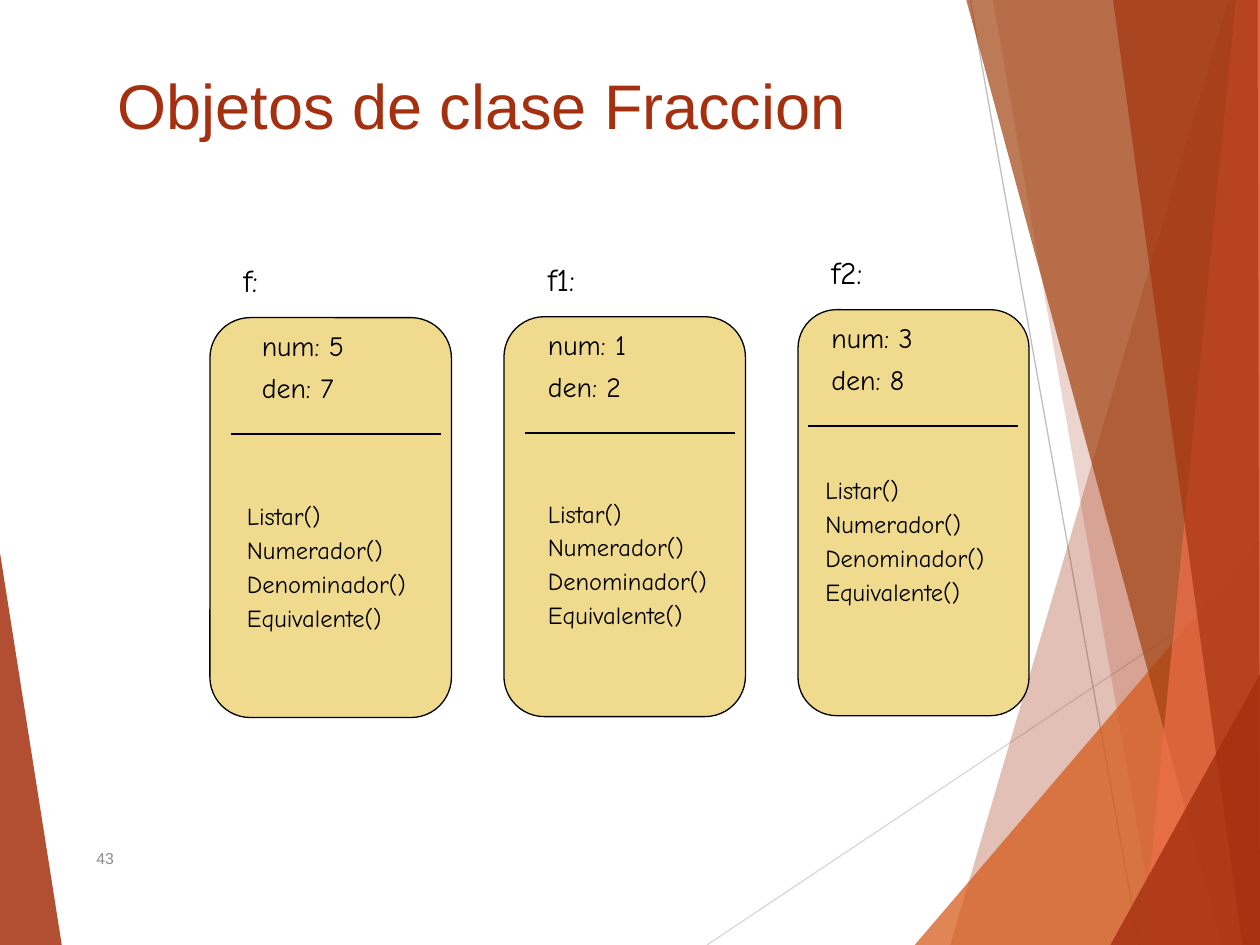
import pptx
import pptx.util
import pptx.dml.color
import pptx.enum.shapes
import pptx.enum.text
import pptx.oxml
import pptx.oxml.ns
import lxml.etree

Pt = pptx.util.Pt
RGB = pptx.dml.color.RGBColor.from_string
SHAPE = pptx.enum.shapes.MSO_SHAPE
ANCHOR = pptx.enum.text.MSO_ANCHOR
COLORS = {
    "rust": "A5300F", "orange": "D55816", "brown": "A04210", "coral": "EE6E4A",
    "pale": "D9D9D9", "silver": "BFBFBF", "gray": "8C8C8C",
    "sand": "EFDA8E", "black": "000000",
}


def write(shape, lines, font, size, color, spacing=1.0, gap=0, anchor=ANCHOR.TOP):
    frame = shape.text_frame
    frame.word_wrap = True
    frame.auto_size = pptx.enum.text.MSO_AUTO_SIZE.NONE
    frame.vertical_anchor = anchor
    for index, line in enumerate(lines):
        paragraph = frame.paragraphs[0] if index == 0 else frame.add_paragraph()
        paragraph.alignment = pptx.enum.text.PP_ALIGN.LEFT
        paragraph.line_spacing = spacing
        paragraph.space_before = Pt(gap if index else 0)
        run = paragraph.add_run()
        run.text = line
        run.font.name = font
        run.font.size = Pt(size)
        run.font.color.rgb = RGB(COLORS[color])


def draw_line(shapes, x1, y1, x2, y2, color):
    line = shapes.add_connector(
        pptx.enum.shapes.MSO_CONNECTOR.STRAIGHT, Pt(x1), Pt(y1), Pt(x2), Pt(y2))
    line.line.color.rgb = RGB(COLORS[color])
    line.line.width = Pt(0.75)
    lxml.etree.SubElement(line._element.spPr, pptx.oxml.ns.qn("a:effectLst"))


deck = pptx.Presentation()
deck.slide_width, deck.slide_height = Pt(720), Pt(540)
slide = deck.slides.add_slide(deck.slide_layouts[5])

facets = [
    ("rust", 85, [(0, 316), (35.3, 540), (0, 540)]),
    ("rust", 30, [(702, 0), (543, 540), (720, 540), (720, 0)]),
    ("rust", 20, [(567.4, 0), (661.7, 540), (720, 540), (720, 0)]),
    ("orange", 72, [(522.7, 540), (720, 309), (720, 540)]),
    ("brown", 70, [(552.2, 0), (698.4, 540), (720, 540), (720, 0)]),
    ("coral", 70, [(706.3, 0), (653, 540), (720, 540), (720, 0)]),
    ("rust", 65, [(636, 0), (709.9, 540), (720, 540), (718.6, 0)]),
    ("rust", 80, [(634.5, 540), (720, 385.2), (720, 540)]),
]
backdrop = slide.shapes.add_group_shape().shapes
for index, (color, opacity, corners) in enumerate(facets):
    if index == 1:
        draw_line(backdrop, 404, 540, 720, 329, "pale")
        draw_line(backdrop, 554.4, 0, 651, 540, "silver")
    corners = [(Pt(x), Pt(y)) for x, y in corners]
    outline = backdrop.build_freeform(*corners[0])
    outline.add_line_segments(corners[1:], close=True)
    facet = outline.convert_to_shape()
    facet.shadow.inherit = False
    facet.fill.solid()
    facet.fill.fore_color.rgb = RGB(COLORS[color])
    facet.line.fill.background()
    tint = facet._element.spPr.find(".//" + pptx.oxml.ns.qn("a:srgbClr"))
    alpha = lxml.etree.SubElement(tint, pptx.oxml.ns.qn("a:alpha"))
    alpha.set("val", str(opacity * 1000))

title = slide.shapes.title
title.left, title.top, title.width, title.height = Pt(60), Pt(31.7), Pt(643), Pt(50.4)
title.text_frame.margin_bottom = Pt(1)
write(title, ["Objetos de clase Fraccion"], "Arial", 36, "rust", anchor=ANCHOR.BOTTOM)

page_number = slide.shapes.add_textbox(Pt(48), Pt(476), Pt(364), Pt(28.8))
write(page_number, ["43"], "Arial", 9, "gray", anchor=ANCHOR.MIDDLE)

methods = ["Listar()", "Numerador()", "Denominador()", "Equivalente()"]
objects = [
    ("f", 5, 7, 181.5, 138, 228.5, 132, 142.5, 134, 260.5),
    ("f1", 1, 2, 181, 138, 228.5, 306, 306, 306, 259),
    ("f2", 3, 8, 177, 132, 232, 468, 468, 464.5, 245.5),
]
for index, (name, num, den, top, width, height,
            label_x, values_x, methods_x, methods_y) in enumerate(objects):
    left = 120 + 168 * index
    group = slide.shapes.add_group_shape().shapes
    card = group.add_shape(
        SHAPE.ROUNDED_RECTANGLE, Pt(left), Pt(top), Pt(width), Pt(height))
    card.adjustments[0] = 0.167
    card.line.color.rgb = RGB(COLORS["black"])
    card.line.width = Pt(0.75)
    divider_x = left + (width - 120 if width > 132 else 12) - 6
    draw_line(group, divider_x, top + 66.5, divider_x + 120, top + 66.5, "black")

    values_box = group.add_shape(
        SHAPE.RECTANGLE, Pt(values_x), Pt(top + 6.25), Pt(95.5), Pt(48))
    write(values_box, [f"num: {num}", f"den: {den}"],
          "Comic Neue", 16, "black", 0.8, 8.8)
    methods_box = group.add_shape(
        SHAPE.RECTANGLE, Pt(methods_x), Pt(methods_y), Pt(114), Pt(101.5))
    methods_box.text_frame.margin_top = Pt(30.5)
    write(methods_box, methods, "Comic Neue", 14, "black", 0.7, 7.6)
    for box in (values_box, methods_box):
        box.line.fill.background()
    for panel in (card, values_box, methods_box):
        panel.shadow.inherit = False
        panel.fill.solid()
        panel.fill.fore_color.rgb = RGB(COLORS["sand"])

    label = group.add_textbox(Pt(label_x), Pt(top - 36), Pt(60), Pt(36))
    write(label, [f"{name}:"], "Comic Neue", 18, "black")

deck.save("out.pptx")
